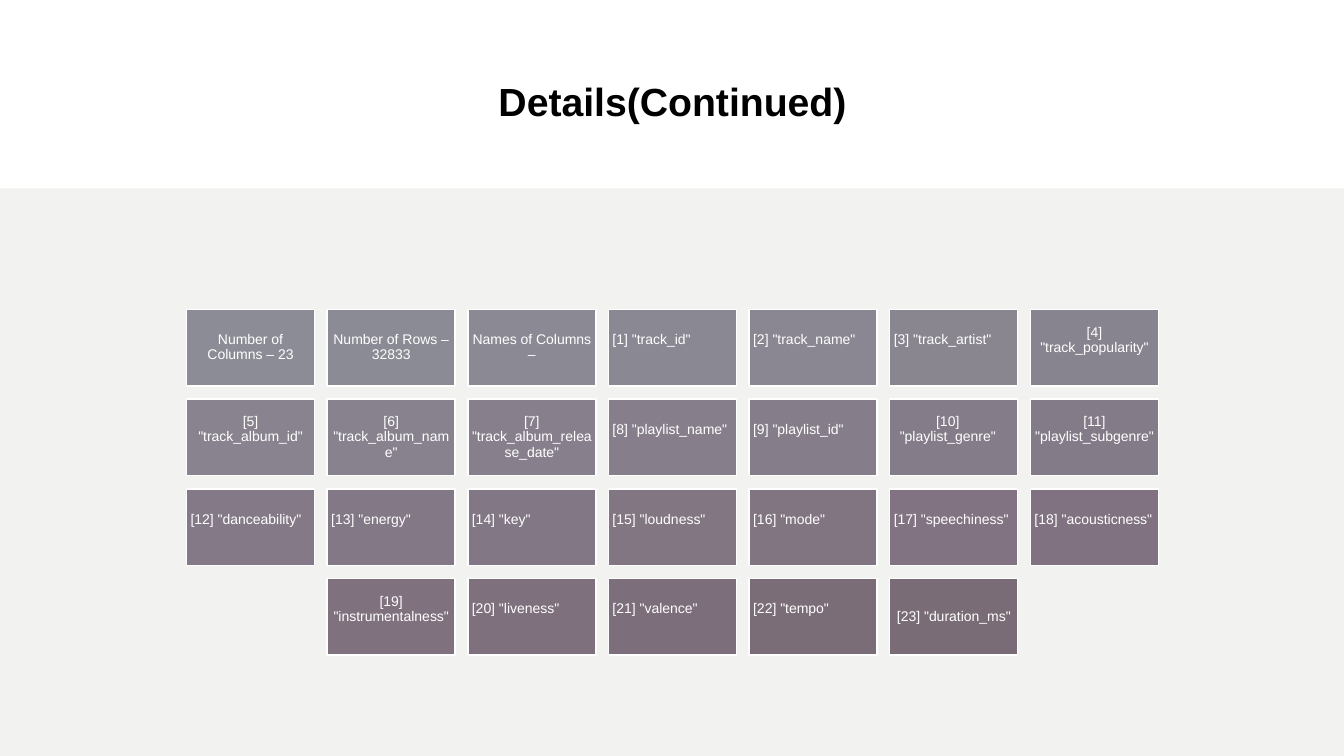
from dataclasses import dataclass

import pptx
import pptx.dml.color
import pptx.enum.shapes
import pptx.enum.text
import pptx.util

Inches = pptx.util.Inches
Align = pptx.enum.text.PP_ALIGN
Color = pptx.dml.color.RGBColor


@dataclass(frozen=True)
class Theme:
    font: str = "Arial"
    title: int = 28
    label: int = 10
    black: str = "000000"
    white: str = "FFFFFF"
    panel: str = "F2F3F1"
    # Tile colours: (tile index, red, green, blue)
    knots: tuple = ((0, 140, 140, 150), (20, 128, 114, 128), (25, 122, 108, 118))


@dataclass(frozen=True)
class Grid:
    cols: int = 7
    left: float = 1.85
    top: float = 3.07
    width: float = 1.27
    height: float = 0.76
    step_x: float = (10.22 - 1.85) / 6
    step_y: float = 0.89


@dataclass(frozen=True)
class Tile:
    text: str
    align: Align = Align.CENTER
    right: float = 0.04
    bottom: float = 0.04


THEME = Theme()
GRID = Grid()

FACTS = ["Number of Columns – 23", "Number of Rows – 32833", "Names of Columns –"]
NAMES = [
    "track_id", "track_name", "track_artist", "track_popularity",
    "track_album_id", "track_album_name", "track_album_release_date",
    "playlist_name", "playlist_id", "playlist_genre", "playlist_subgenre",
    "danceability", "energy", "key", "loudness", "mode", "speechiness",
    "acousticness", "instrumentalness", "liveness", "valence", "tempo",
    "duration_ms",
]
MIDDLE = {6, 7, 23}  # centred both ways
WRAPPED = {4, 5, 10, 11, 19}  # centred on two lines, raised
NARROW = {10}  # needs a wider right margin to wrap


def column(num: int, name: str) -> Tile:
    text = f'[{num}] "{name}"'
    if num in MIDDLE:
        return Tile(text)
    align = Align.CENTER if num in WRAPPED else Align.LEFT
    return Tile(text, align, 0.16 if num in NARROW else 0.04, 0.19)


def shade(index: int) -> Color:
    for low, high in zip(THEME.knots, THEME.knots[1:]):
        if index <= high[0]:
            break
    part = (index - low[0]) / (high[0] - low[0])
    return Color(*(round(a + (b - a) * part) for a, b in zip(low[1:], high[1:])))


def style(para, size: int, color: str, align: Align, space: float, bold: bool = False) -> None:
    para.alignment = align
    para.line_spacing = space
    for run in para.runs:
        run.font.name = THEME.font
        run.font.size = pptx.util.Pt(size)
        run.font.bold = bold
        run.font.color.rgb = Color.from_string(color)


def block(slide, left: float, top: float, width: float, height: float, fill: Color):
    shape = slide.shapes.add_shape(
        pptx.enum.shapes.MSO_SHAPE.RECTANGLE,
        Inches(left), Inches(top), Inches(width), Inches(height))
    shape.shadow.inherit = False
    shape.fill.solid()
    shape.fill.fore_color.rgb = fill
    shape.line.fill.background()
    return shape


def draw(slide, tile: Tile, index: int, count: int) -> None:
    row, col = divmod(index, GRID.cols)
    used = min(GRID.cols, count - row * GRID.cols)
    shift = col + (GRID.cols - used) / 2  # a short row is centred
    shape = block(slide, GRID.left + shift * GRID.step_x, GRID.top + row * GRID.step_y,
                  GRID.width, GRID.height, shade(index))
    shape.line.color.rgb = Color.from_string(THEME.white)
    shape.line.width = pptx.util.Pt(1)
    frame = shape.text_frame
    frame.word_wrap = True
    frame.vertical_anchor = pptx.enum.text.MSO_ANCHOR.MIDDLE
    frame.margin_left = frame.margin_top = Inches(0.04)
    frame.margin_right = Inches(tile.right)
    frame.margin_bottom = Inches(tile.bottom)
    frame.text = tile.text
    style(frame.paragraphs[0], THEME.label, THEME.white, tile.align, 0.9)


def main() -> None:
    deck = pptx.Presentation()
    deck.slide_width, deck.slide_height = Inches(13.33), Inches(7.5)
    slide = deck.slides.add_slide(deck.slide_layouts[5])

    # Title
    title = slide.shapes.title
    title.left, title.top = Inches(1.18), Inches(0.49)
    title.width, title.height = Inches(10.98), Inches(0.97)
    title.text_frame.text = "Details(Continued)"
    title.text_frame.vertical_anchor = pptx.enum.text.MSO_ANCHOR.MIDDLE
    style(title.text_frame.paragraphs[0], THEME.title, THEME.black, Align.CENTER, 1.1, True)

    # Panel
    block(slide, 0, 1.87, 13.33, 5.63, Color.from_string(THEME.panel))

    # Tiles
    tiles = [Tile(fact) for fact in FACTS]
    tiles += [column(num, name) for num, name in enumerate(NAMES, 1)]
    for index, tile in enumerate(tiles):
        draw(slide, tile, index, len(tiles))

    deck.save("out.pptx")


if __name__ == "__main__":
    main()
